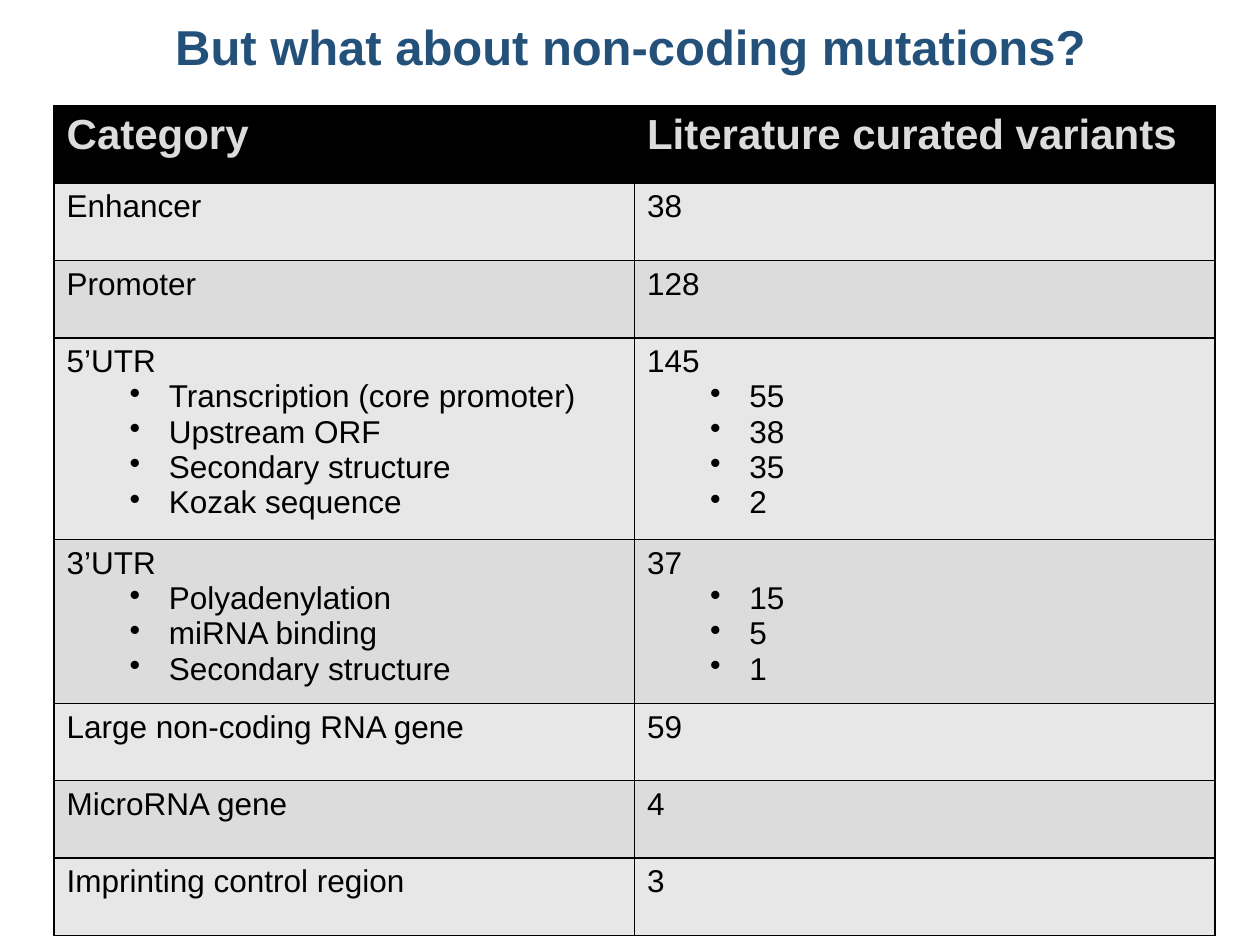
"""Build a slide with a table of non-coding mutation categories."""
from dataclasses import dataclass

import pptx
import pptx.dml.color
import pptx.enum.text
import pptx.oxml
import pptx.oxml.ns
import pptx.util
from pptx.util import Cm


@dataclass(frozen=True)
class Theme:
    """Colours, font and type sizes of the slide."""
    font: str = "Arial"
    title: str = "24517A"
    ink: str = "000000"
    header_ink: str = "DCDCDC"
    header_fill: str = "000000"
    bands: tuple = ("E7E7E7", "DCDCDC")
    title_size: int = 28
    header_size: int = 24
    body_size: int = 18
    border_width: int = 1


THEME = Theme()
HEADER = ("Category", "Literature curated variants")
ROWS = [
    (["Enhancer"], ["38"]),
    (["Promoter"], ["128"]),
    (["5’UTR", "Transcription (core promoter)", "Upstream ORF",
      "Secondary structure", "Kozak sequence"],
     ["145", "55", "38", "35", "2"]),
    (["3’UTR", "Polyadenylation", "miRNA binding", "Secondary structure"],
     ["37", "15", "5", "1"]),
    (["Large non-coding RNA gene"], ["59"]),
    (["MicroRNA gene"], ["4"]),
    (["Imprinting control region"], ["3"]),
]


def rgb(colour):
    """Turn a hex string into a colour."""
    return pptx.dml.color.RGBColor.from_string(colour)


def write(para, text, *, size, colour, bold=False):
    """Add one formatted span of text to a paragraph."""
    span = para.add_run()
    span.text = text
    span.font.name = THEME.font
    span.font.size = pptx.util.Pt(size)
    span.font.bold = bold
    span.font.color.rgb = rgb(colour)


def add_bullet(para):
    """Make a paragraph an indented bullet of the second level."""
    para.level = 1
    properties = para._p.get_or_add_pPr()
    properties.set("marL", str(Cm(2.06)))
    properties.set("indent", str(Cm(-0.79)))
    bullet = pptx.oxml.parse_xml(
        f'<a:buChar {pptx.oxml.ns.nsdecls("a")} char="•"/>')
    properties.append(bullet)


def add_borders(cell):
    """Draw a line on all four sides of a cell."""
    properties = cell._tc.get_or_add_tcPr()
    width = pptx.util.Pt(THEME.border_width)
    for side in "LRTB":
        properties.append(pptx.oxml.parse_xml(
            f'<a:ln{side} {pptx.oxml.ns.nsdecls("a")} w="{width}"><a:solidFill>'
            f'<a:srgbClr val="{THEME.ink}"/></a:solidFill></a:ln{side}>'))


def fill_cell(cell, lines, *, fill, **style):
    """Style a cell and write a heading line followed by bullets."""
    add_borders(cell)
    cell.fill.solid()
    cell.fill.fore_color.rgb = rgb(fill)
    frame = cell.text_frame
    for number, line in enumerate(lines):
        para = frame.add_paragraph() if number else frame.paragraphs[0]
        if number:
            add_bullet(para)
        write(para, line, **style)


def add_title(page, text):
    """Add the centred slide title."""
    box = page.shapes.add_textbox(Cm(0.71), Cm(0.2), Cm(24), Cm(2.11))
    frame = box.text_frame
    frame.word_wrap = True
    frame.margin_left = frame.margin_right = frame.margin_bottom = 0
    frame.margin_top = Cm(0.13)
    para = frame.paragraphs[0]
    para.alignment = pptx.enum.text.PP_ALIGN.CENTER
    write(para, text, size=THEME.title_size, colour=THEME.title, bold=True)


def add_variant_table(page):
    """Add the table with a dark header and banded rows."""
    row_height = Cm(1.56)
    count = len(ROWS) + 1
    table = page.shapes.add_table(
        count, len(HEADER), Cm(1.09), Cm(2.13), Cm(23.4), row_height * count).table
    table.first_row = table.horz_banding = False
    for column, heading in enumerate(HEADER):
        fill_cell(table.cell(0, column), [heading], fill=THEME.header_fill,
                  size=THEME.header_size, colour=THEME.header_ink, bold=True)
    for number, row in enumerate(ROWS):
        for column, lines in enumerate(row):
            fill_cell(table.cell(number + 1, column), lines,
                      fill=THEME.bands[number % 2],
                      size=THEME.body_size, colour=THEME.ink)


def main():
    """Create the deck and save it."""
    deck = pptx.Presentation()
    deck.slide_width, deck.slide_height = Cm(25.4), Cm(19.05)
    page = deck.slides.add_slide(deck.slide_layouts[6])
    add_title(page, "But what about non-coding mutations?")
    add_variant_table(page)
    deck.save("out.pptx")


if __name__ == "__main__":
    main()
